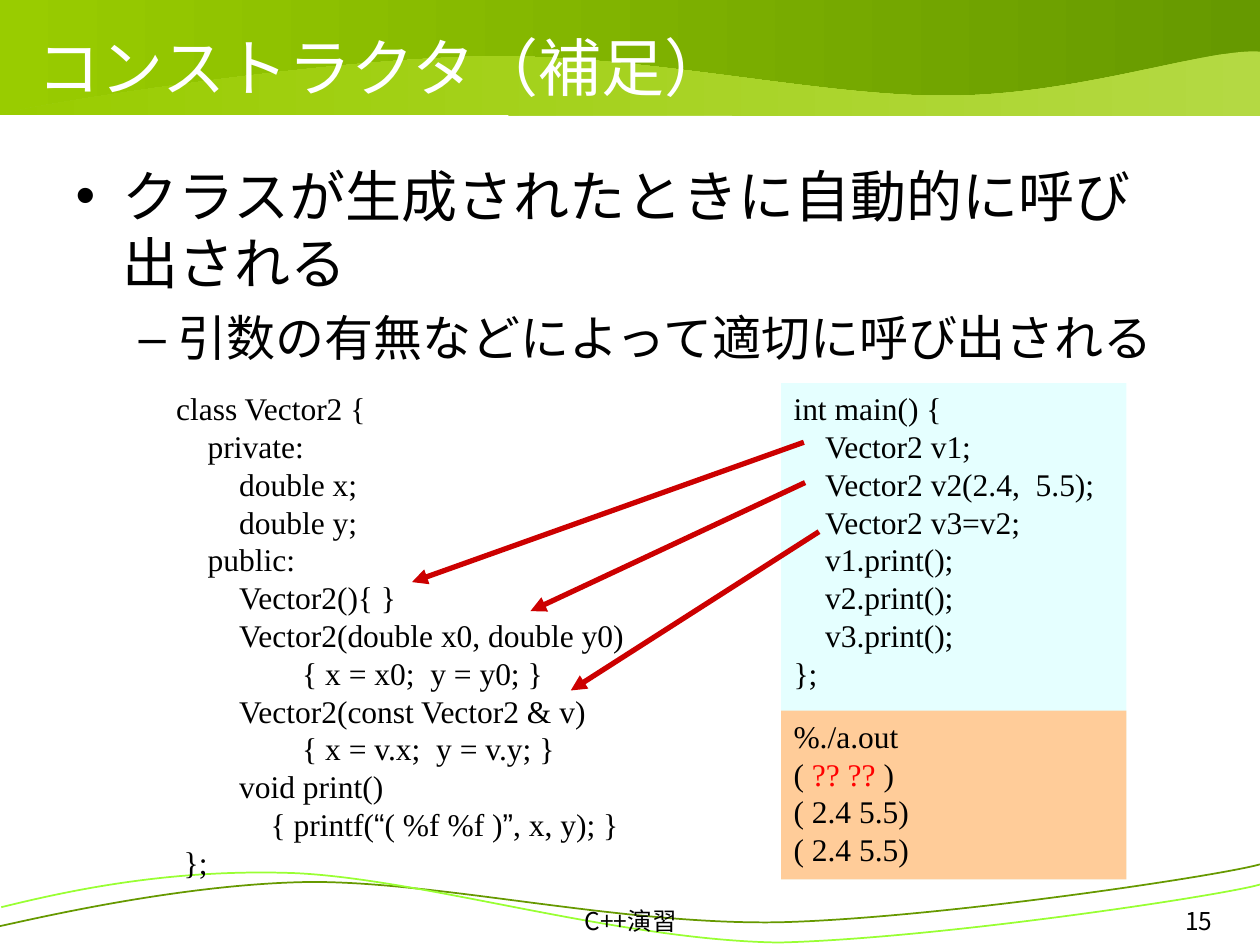
from dataclasses import dataclass

from lxml import etree
from pptx import Presentation
from pptx.dml.color import RGBColor
from pptx.enum.shapes import MSO_CONNECTOR, MSO_SHAPE
from pptx.enum.text import MSO_ANCHOR, MSO_AUTO_SIZE, PP_ALIGN
from pptx.oxml.ns import qn
from pptx.util import Emu, Pt

RECTANGLE = MSO_SHAPE.RECTANGLE
STRAIGHT = MSO_CONNECTOR.STRAIGHT
TOP, MIDDLE = MSO_ANCHOR.TOP, MSO_ANCHOR.MIDDLE
LEFT, CENTER, RIGHT = PP_ALIGN.LEFT, PP_ALIGN.CENTER, PP_ALIGN.RIGHT
NO_AUTOFIT = MSO_AUTO_SIZE.NONE

EMU_PER_PX = 9144  # 100 px to the inch
INDENT = 25
JAPANESE, CODE, QUOTE = "Noto Sans CJK JP", "Times New Roman", "Arial"
BLACK, WHITE, RED, ARROW_RED = "000000", "FFFFFF", "FF0000", "CC0000"


@dataclass(frozen=True)
class Box:
    left: int
    top: int
    width: int
    height: int


@dataclass(frozen=True)
class Piece:
    """Part of a line whose colour or font differs from the line's own."""
    text: str
    color: str = ""
    font: str = ""


@dataclass(frozen=True)
class Line:
    pieces: tuple
    indent: int = 0


@dataclass(frozen=True)
class Arrow:
    start: tuple[int, int]
    end: tuple[int, int]


BANNER_WAVE = [(0, 91), (31, 82), (257, 47), (382, 45), (508, 42), (649, 77),
               (752, 76), (855, 76), (958, 38), (1000, 41), (1000, 73),
               (1000, 68), (1000, 92), (984, 92), (208, 91), (0, 91)]
FOOTER_WAVES = {
    "669900": [(1000, 686), (969, 695), (743, 729), (618, 732), (492, 734),
               (351, 700), (248, 700), (145, 701), (24, 730), (0, 735)],
    "99FF33": [(1000, 702), (969, 711), (743, 745), (618, 748), (490, 746),
               (338, 698), (235, 693), (133, 689), (50, 708), (1, 720)],
}


def code(text: str, level: int = 0) -> Line:
    return Line((Piece(text),), level * INDENT)


CLASS_CODE = [
    code("class Vector2 {"),
    code("private:", 1),
    code("double x;", 2),
    code("double y;", 2),
    code("public:", 1),
    code("Vector2(){ }", 2),
    code("Vector2(double x0, double y0)", 2),
    code("{ x = x0;  y = y0; }", 4),
    code("Vector2(const Vector2 & v)", 2),
    code("{ x = v.x;  y = v.y; }", 4),
    code("void print()", 2),
    Line((Piece("{ printf("), Piece("“", font=QUOTE), Piece("( %f %f )"),
          Piece("”", font=QUOTE), Piece(", x, y); }")), 3 * INDENT),
    Line((Piece("};"),), 6),
]
MAIN_CODE = [
    code("int main() {"),
    code("Vector2 v1;", 1),
    code("Vector2 v2(2.4,  5.5);", 1),
    code("Vector2 v3=v2;", 1),
    *(code(f"v{number}.print();", 1) for number in (1, 2, 3)),
    code("};"),
]
OUTPUT = [
    code("%./a.out"),
    Line((Piece("( "), Piece("?? ??", color=RED), Piece(" )"))),
    code("( 2.4 5.5)"),
    code("( 2.4 5.5)"),
]
ARROWS = [
    Arrow((638, 351), (327, 462)),
    Arrow((639, 383), (421, 485)),
    Arrow((650, 422), (453, 548)),
]


def px(length: int) -> Emu:
    return Emu(length * EMU_PER_PX)


def rgb(color: str) -> RGBColor:
    return RGBColor.from_string(color)


def place(box: Box) -> tuple:
    return px(box.left), px(box.top), px(box.width), px(box.height)


def style_font(font, name: str, size: int, color: str) -> None:
    font.name, font.size = name, Pt(size)
    font.color.rgb = rgb(color)
    etree.SubElement(font._element, qn("a:ea")).set("typeface", name)


def fill_gradient(shape, right: str, left: str) -> None:
    shape.fill.gradient()
    shape.fill.gradient_angle = 180
    for stop, color, position in zip(shape.fill.gradient_stops, (right, left), (0, 1)):
        stop.color.rgb = rgb(color)
        stop.position = position


def add_wave(slide, points: list, close: bool):
    """Draw a chain of cubic curves: a start, then three points per curve."""
    builder = slide.shapes.build_freeform(*points[0], scale=float(EMU_PER_PX))
    builder.add_line_segments(points[1:], close=close)
    wave = builder.convert_to_shape()
    wave.shadow.inherit = False
    segments = list(wave._element.iter(qn("a:lnTo")))
    for first in range(0, len(segments), 3):
        curve, *others = segments[first:first + 3]
        curve.tag = qn("a:cubicBezTo")
        for other in others:
            curve.append(other[0])
            other.getparent().remove(other)
    return wave


def add_rectangle(slide, box: Box):
    rectangle = slide.shapes.add_shape(RECTANGLE, *place(box))
    rectangle.shadow.inherit = False
    rectangle.line.fill.background()
    return rectangle


def add_panel(slide, box: Box, color: str, opacity: int = 100):
    panel = add_rectangle(slide, box)
    panel.fill.solid()
    panel.fill.fore_color.rgb = rgb(color)
    if opacity < 100:
        srgb = panel._element.spPr.find(f".//{qn('a:srgbClr')}")
        etree.SubElement(srgb, qn("a:alpha")).set("val", str(opacity * 1000))
    return panel


def write_lines(shape, lines: list, name: str = CODE, size: int = 18, align=LEFT) -> None:
    frame = shape.text_frame
    frame.word_wrap, frame.vertical_anchor = True, TOP
    for index, line in enumerate(lines):
        paragraph = frame.add_paragraph() if index else frame.paragraphs[0]
        paragraph.alignment = align
        paragraph._p.get_or_add_pPr().set("marL", str(px(line.indent)))
        style_font(paragraph.font, name, size, BLACK)
        for piece in line.pieces:
            run = paragraph.add_run()
            run.text = piece.text
            if piece.color or piece.font:
                style_font(run.font, piece.font or name, size, piece.color or BLACK)


def add_text(slide, box: Box, lines: list, **style) -> None:
    write_lines(slide.shapes.add_textbox(*place(box)), lines, **style)


def add_arrow(slide, arrow: Arrow) -> None:
    connector = slide.shapes.add_connector(
        STRAIGHT, *(px(value) for value in arrow.start + arrow.end))
    connector.line.color.rgb = rgb(ARROW_RED)
    connector.line.width = Pt(3)
    etree.SubElement(connector.line._get_or_add_ln(), qn("a:tailEnd")).set("type", "triangle")
    etree.SubElement(connector._element.spPr, qn("a:effectLst"))


def add_background(slide) -> None:
    fill_gradient(add_rectangle(slide, Box(0, 0, 1000, 91)), "669900", "99CC00")
    wave = add_wave(slide, BANNER_WAVE, close=True)
    fill_gradient(wave, "B4D943", "99CC00")
    wave.line.fill.background()
    for color, points in FOOTER_WAVES.items():
        wave = add_wave(slide, points, close=False)
        wave.fill.background()
        wave.line.color.rgb = rgb(color)
        wave.line.width = Pt(1)


def fill_placeholder(slide, shape, box: Box, anchor, items: list, color: str) -> None:
    """Write (text, size, space before) items, one per outline level."""
    slide.shapes._spTree.append(shape._element)  # in front of the background
    shape.left, shape.top, shape.width, shape.height = place(box)
    frame = shape.text_frame
    frame.auto_size, frame.vertical_anchor = NO_AUTOFIT, anchor
    for level, (text, size, space) in enumerate(items):
        paragraph = frame.add_paragraph() if level else frame.paragraphs[0]
        paragraph.text, paragraph.level = text, level
        paragraph.alignment, paragraph.space_before = LEFT, Pt(space)
        style_font(paragraph.font, JAPANESE, size, color)


def main() -> None:
    presentation = Presentation()
    presentation.slide_width, presentation.slide_height = px(1000), px(750)
    slide = presentation.slides.add_slide(presentation.slide_layouts[1])
    title, body = slide.placeholders
    add_background(slide)
    add_text(slide, Box(342, 714, 317, 22), [code("C++演習")],
             name=JAPANESE, size=14, align=CENTER)
    add_text(slide, Box(739, 714, 233, 22), [code("15")],
             name=JAPANESE, size=14, align=RIGHT)
    fill_placeholder(slide, title, Box(20, 22, 961, 61), MIDDLE,
                     [("コンストラクタ（補足）", 36, 0)], WHITE)
    fill_placeholder(slide, body, Box(50, 123, 900, 567), TOP,
                     [("クラスが生成されたときに自動的に呼び出される", 32, 8),
                      ("引数の有無などによって適切に呼び出される", 28, 7)], BLACK)
    add_text(slide, Box(130, 304, 378, 400), CLASS_CODE)
    write_lines(add_panel(slide, Box(620, 304, 274, 394), "CCFFFF", 50), MAIN_CODE)
    write_lines(add_panel(slide, Box(620, 564, 274, 134), "FFCC99"), OUTPUT)
    for arrow in ARROWS:
        add_arrow(slide, arrow)
    presentation.save("out.pptx")


if __name__ == "__main__":
    main()
